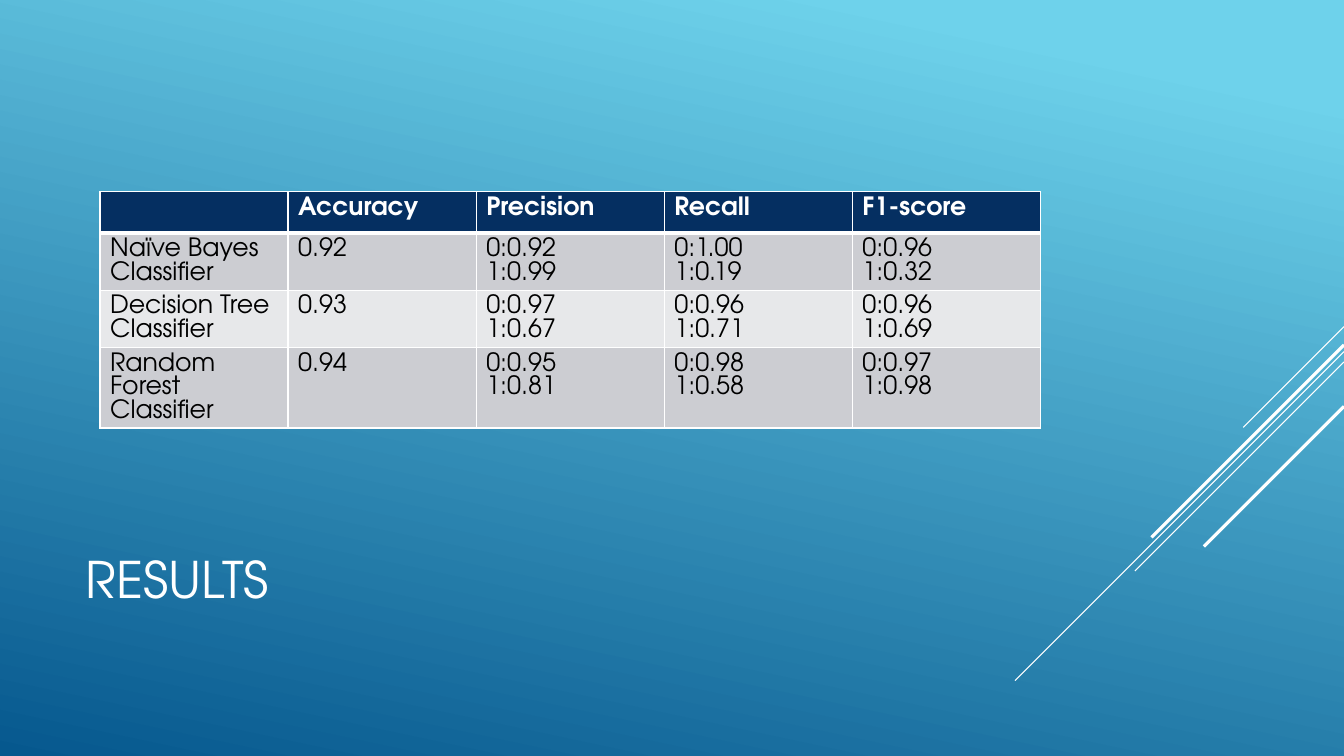
"""Builds a results slide with a table of classifier scores."""
from dataclasses import dataclass

from lxml import etree
from pptx import Presentation
from pptx import util as u
from pptx.dml.color import RGBColor
from pptx.enum import shapes, text
from pptx.oxml import ns


@dataclass(frozen=True)
class Theme:
    font: str = "TeX Gyre Adventor"
    title_size: int = 36
    table_size: int = 18
    white: str = "FFFFFF"
    black: str = "000000"
    sky: str = "6ED2EB"
    deep: str = "06588E"
    header: str = "052F61"
    bands: tuple = ("CCCDD2", "E7E8EA")


theme = Theme()


def write(frame, content, size, color, bold=False):
    frame.text = content
    for paragraph in frame.paragraphs:
        paragraph.alignment = text.PP_ALIGN.LEFT
        font = paragraph.font
        for run in paragraph.runs:
            font = run.font
            font.name = theme.font
            font.size = u.Pt(size)
            font.bold = bold
            font.color.rgb = RGBColor.from_string(color)


def add_border(cell, side, width):
    properties = cell._tc.get_or_add_tcPr()
    line = etree.SubElement(properties, ns.qn(f"a:ln{side}"), w=str(u.Pt(width)))
    fill = etree.SubElement(line, ns.qn("a:solidFill"))
    etree.SubElement(fill, ns.qn("a:srgbClr"), val=theme.white)


presentation = Presentation()
presentation.slide_width = u.Cm(33.87)
presentation.slide_height = u.Cm(19.05)
slide = presentation.slides.add_slide(presentation.slide_layouts[5])

background = slide.background.fill
background.gradient()
background.gradient_angle = 360 - 102
for stop, position, color in zip(background.gradient_stops, (0.1, 1), (theme.sky, theme.deep)):
    stop.position = position
    stop.color.rgb = RGBColor.from_string(color)

right_edge = 33.87
diagonals = [
    (8.23, 2.54, 0.75),
    (8.86, 8.29, 0.75),
    (9.12, 5.27, 0.75),
    (8.69, 4.85, 2.25),
    (10.24, 3.53, 2.25),
]
for top, run_length, width in diagonals:
    diagonal = slide.shapes.add_connector(
        shapes.MSO_CONNECTOR.STRAIGHT,
        u.Cm(right_edge), u.Cm(top),
        u.Cm(right_edge - run_length), u.Cm(top + run_length),
    )
    diagonal.line.color.rgb = RGBColor.from_string(theme.white)
    diagonal.line.width = u.Pt(width)
    etree.SubElement(diagonal._element.spPr, ns.qn("a:effectLst"))

title = slide.shapes.title
title.left, title.top, title.width, title.height = u.Cm(1.9), u.Cm(12.47), u.Cm(23.7), u.Cm(4.19)
title.text_frame.vertical_anchor = text.MSO_ANCHOR.MIDDLE
write(title.text_frame, "RESULTS", theme.title_size, theme.white)

scores = [
    ("", "Accuracy", "Precision", "Recall", "F1-score"),
    ("Naïve Bayes Classifier", "0.92", "0:0.92\n1:0.99", "0:1.00\n1:0.19", "0:0.96\n1:0.32"),
    ("Decision Tree Classifier", "0.93", "0:0.97\n1:0.67", "0:0.96\n1:0.71", "0:0.96\n1:0.69"),
    ("Random Forest Classifier", "0.94", "0:0.95\n1:0.81", "0:0.98\n1:0.58", "0:0.97\n1:0.98"),
]
row_heights = [1.04, 1.44, 1.44, 2.03]
table = slide.shapes.add_table(
    len(scores), len(scores[0]), u.Cm(2.52), u.Cm(4.83), u.Cm(23.7), u.Cm(sum(row_heights))
).table
for column in table.columns:
    column.width = u.Cm(23.7 / len(scores[0]))
for row_index, (row, height, values) in enumerate(zip(table.rows, row_heights, scores)):
    row.height = u.Cm(height)
    is_header = row_index == 0
    band = theme.header if is_header else theme.bands[(row_index - 1) % 2]
    for cell, value in zip(row.cells, values):
        for side in "LRTB":
            under_header = (row_index, side) in ((0, "B"), (1, "T"))
            add_border(cell, side, 3 if under_header else 1)
        cell.fill.solid()
        cell.fill.fore_color.rgb = RGBColor.from_string(band)
        write(cell.text_frame, value, theme.table_size,
              theme.white if is_header else theme.black, bold=is_header)

presentation.save("out.pptx")
